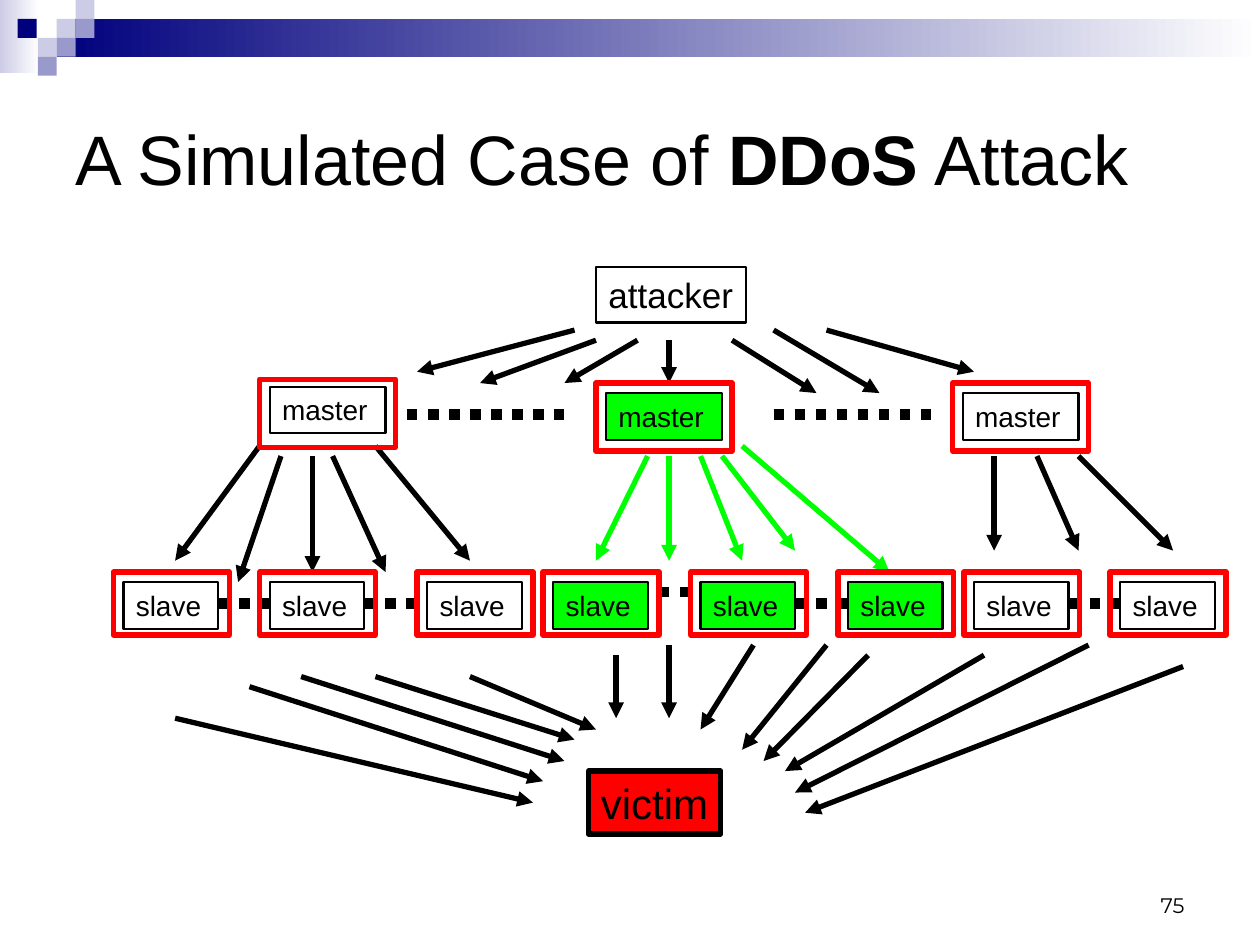
from lxml.etree import SubElement
from pptx import Presentation
from pptx.dml.color import RGBColor
from pptx.enum.dml import MSO_LINE
from pptx.enum.shapes import MSO_CONNECTOR, MSO_SHAPE
from pptx.enum.text import MSO_ANCHOR, PP_ALIGN
from pptx.oxml.ns import qn
from pptx.util import Inches, Pt

COLORS = {
    "black": "000000", "white": "FFFFFF", "red": "FF0000", "green": "00FF00",
    "navy": "00007D", "lilac": "CCCCE6", "violet": "9999CC",
}
MASTERS = [(2.14, 3.07, 3.01, None), (4.81, 3.12, 3.04, "green"), (7.64, 3.12, 3.04, None)]
SLAVES = [
    (0.98, None), (2.14, None), (3.39, None), (4.39, "green"),
    (5.56, "green"), (6.73, "green"), (7.73, None), (8.89, None),
]
DOTS = [
    (3.23, 4.48, 3.29), (6.14, 7.39, 3.29), (1.73, 2.23, 4.79), (2.89, 3.39, 4.79),
    (5.23, 5.56, 4.7), (6.31, 6.73, 4.79), (8.48, 8.89, 4.79),
]
ATTACKER_ARROWS = [
    (4.56, 2.62, 3.31, 2.95), (4.73, 2.7, 3.81, 3.04), (5.06, 2.7, 4.48, 3.04),
    (5.31, 2.7, 5.31, 3.04), (5.81, 2.7, 6.48, 3.12), (6.14, 2.62, 6.98, 3.12),
    (6.56, 2.62, 7.73, 2.95),
]
LEFT_MASTER_ARROWS = [
    (2.06, 3.54, 1.39, 4.45), (2.23, 3.62, 1.89, 4.62), (2.48, 3.62, 2.48, 4.54),
    (2.64, 3.62, 3.06, 4.54), (2.98, 3.54, 3.73, 4.45),
]
MIDDLE_MASTER_ARROWS = [
    (5.14, 3.62, 4.73, 4.45), (5.31, 3.62, 5.31, 4.45), (5.56, 3.62, 5.89, 4.45),
    (5.73, 3.62, 6.31, 4.37), (5.89, 3.54, 7.06, 4.54),
]
RIGHT_MASTER_ARROWS = [
    (7.89, 3.62, 7.89, 4.37), (8.23, 3.62, 8.56, 4.37), (8.56, 3.62, 9.31, 4.37),
]
VICTIM_ARROWS = [
    (1.39, 5.7, 4.23, 6.37), (1.98, 5.45, 4.31, 6.2), (2.39, 5.37, 4.48, 6.04),
    (2.98, 5.37, 4.56, 5.87), (3.73, 5.37, 4.73, 5.79), (4.89, 5.2, 4.89, 5.7),
    (5.31, 5.12, 5.31, 5.7), (5.98, 5.12, 5.56, 5.79), (6.56, 5.12, 5.89, 5.95),
    (6.89, 5.2, 6.06, 6.04), (7.81, 5.2, 6.23, 6.12), (8.64, 5.12, 6.31, 6.29),
    (9.39, 5.29, 6.39, 6.45),
]
TILE = 0.15
TILES = [
    (0.45, 0.15, "lilac"), (0.6, 0, "lilac"), (0.6, 0.15, "violet"), (0.3, 0.3, "lilac"),
    (0.14, 0.15, "navy"), (0.45, 0.3, "violet"), (0.3, 0.45, "violet"),
]


def rgb(name):
    return RGBColor.from_string(COLORS[name])


def add_run(p, text, size, font="Arial", bold=False):
    r = p.add_run()
    r.text = text
    r.font.size = Pt(size)
    r.font.name = font
    r.font.bold = bold
    r.font.color.rgb = rgb("black")


def add_rect(s, x, y, w, h, fill=None, line=None, width=1.25):
    sp = s.shapes.add_shape(MSO_SHAPE.RECTANGLE, Inches(x), Inches(y), Inches(w), Inches(h))
    sp.shadow.inherit = False
    if fill:
        sp.fill.solid()
        sp.fill.fore_color.rgb = rgb(fill)
    else:
        sp.fill.background()
    if line:
        sp.line.color.rgb = rgb(line)
        sp.line.width = Pt(width)
    else:
        sp.line.fill.background()
    return sp


def add_gradient(s, x, y, w, h, start):
    sp = add_rect(s, x, y, w, h)
    sp.fill.gradient()
    sp.fill.gradient_angle = 0
    for stop, color in zip(sp.fill.gradient_stops, (start, "white")):
        stop.color.rgb = rgb(color)


def add_label(s, text, size, x, y, w, h, fill=None, width=1.25, wrap=True):
    sp = add_rect(s, x, y, w, h, fill, "black", width)
    tf = sp.text_frame
    tf.word_wrap = wrap
    tf.vertical_anchor = MSO_ANCHOR.TOP
    p = tf.paragraphs[0]
    p.alignment = PP_ALIGN.LEFT
    add_run(p, text, size)


def add_text(s, x, y, w, h, anchor, align):
    tf = s.shapes.add_textbox(Inches(x), Inches(y), Inches(w), Inches(h)).text_frame
    tf.word_wrap = True
    tf.vertical_anchor = anchor
    p = tf.paragraphs[0]
    p.alignment = align
    return p


def add_line(s, x1, y1, x2, y2, color="black", width=3):
    c = s.shapes.add_connector(
        MSO_CONNECTOR.STRAIGHT, Inches(x1), Inches(y1), Inches(x2), Inches(y2))
    c.line.color.rgb = rgb(color)
    c.line.width = Pt(width)
    SubElement(c._element.spPr, qn("a:effectLst"))
    return c


def add_arrows(s, arrows, color="black"):
    for ends in arrows:
        c = add_line(s, *ends, color)
        SubElement(c.line._get_or_add_ln(), qn("a:tailEnd"), type="triangle")


def add_dots(s, x1, x2, y):
    add_line(s, x1, y, x2, y, width=6).line.dash_style = MSO_LINE.ROUND_DOT


def add_banner(s):
    add_gradient(s, 0, 0, 0.31, 0.58, "lilac")
    add_gradient(s, 0.45, 0.15, 9.55, 0.3, "navy")
    for x, y, color in TILES:
        add_rect(s, x, y, TILE, TILE, color)


def add_heading(s):
    p = add_text(s, 7.17, 6.83, 2.33, 0.5, MSO_ANCHOR.BOTTOM, PP_ALIGN.RIGHT)
    add_run(p, "75", 12, "Montserrat")
    p = add_text(s, 0.5, 0.5, 9, 1.5, MSO_ANCHOR.MIDDLE, PP_ALIGN.LEFT)
    add_run(p, "A Simulated Case of ", 40)
    add_run(p, "DDoS", 40, bold=True)
    add_run(p, " Attack", 40)


def add_network(s):
    add_label(s, "attacker", 20, 4.73, 2.12, 1.19, 0.44, wrap=False)
    for x, y, _, fill in MASTERS:
        add_label(s, "master", 16, x, y, 0.92, 0.37, fill)
    for x, fill in SLAVES:
        add_label(s, "slave", 16, x, 4.62, 0.75, 0.37, fill)
    for dots in DOTS:
        add_dots(s, *dots)
    add_arrows(s, ATTACKER_ARROWS + LEFT_MASTER_ARROWS)
    add_arrows(s, MIDDLE_MASTER_ARROWS, "green")
    add_arrows(s, RIGHT_MASTER_ARROWS)
    for x, _, top, _ in MASTERS:
        add_rect(s, x - 0.08, top, 1.08, 0.54, line="red", width=3)
    for x, _ in SLAVES:
        add_rect(s, x - 0.08, 4.54, 0.92, 0.5, line="red", width=3)
    add_arrows(s, VICTIM_ARROWS)
    add_label(s, "victim", 24, 4.67, 6.12, 1.05, 0.5, "red", 3, wrap=False)


def main():
    prs = Presentation()
    prs.slide_width = Inches(10)
    prs.slide_height = Inches(7.5)
    s = prs.slides.add_slide(prs.slide_layouts[6])
    add_banner(s)
    add_heading(s)
    add_network(s)
    prs.save("out.pptx")


if __name__ == "__main__":
    main()
